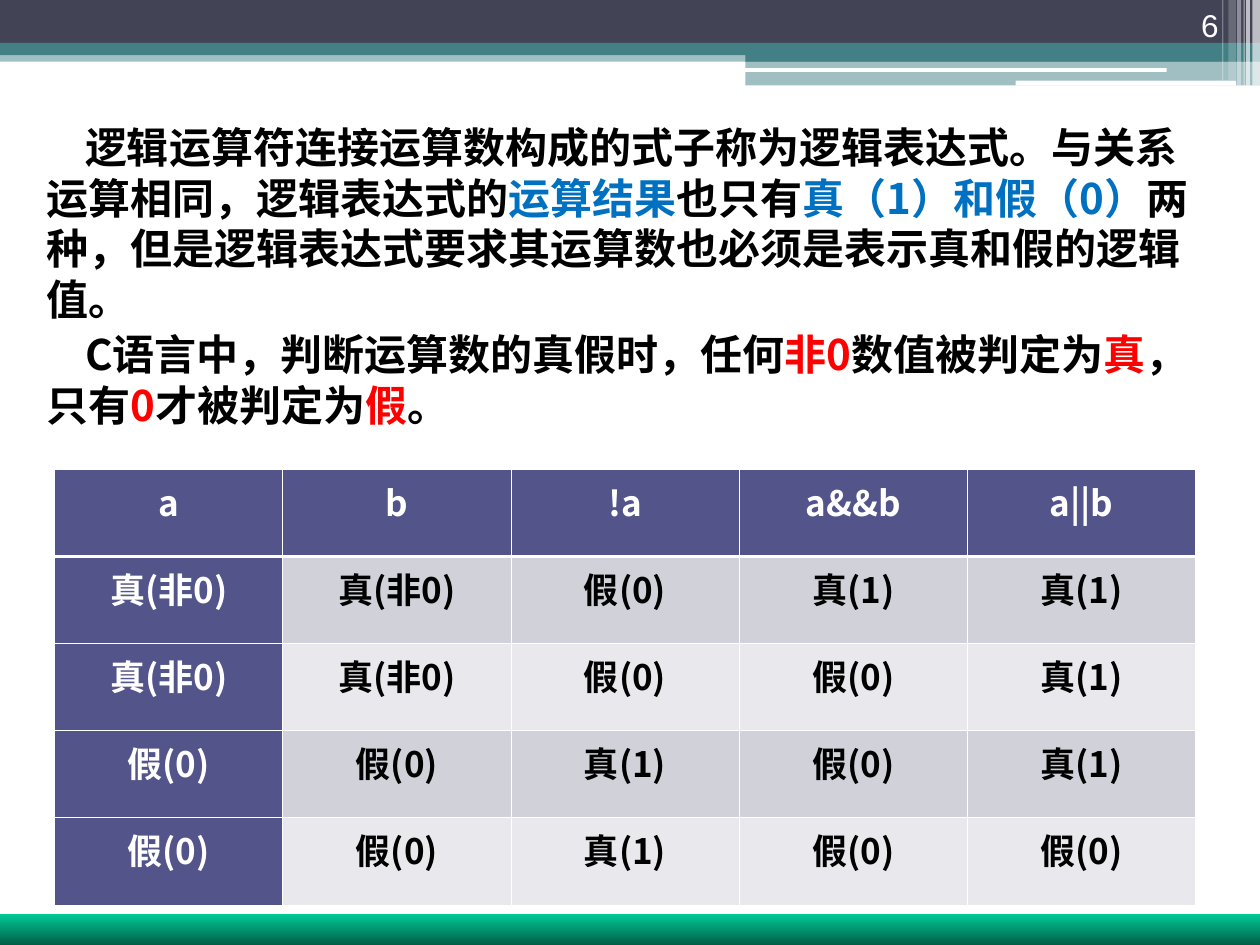
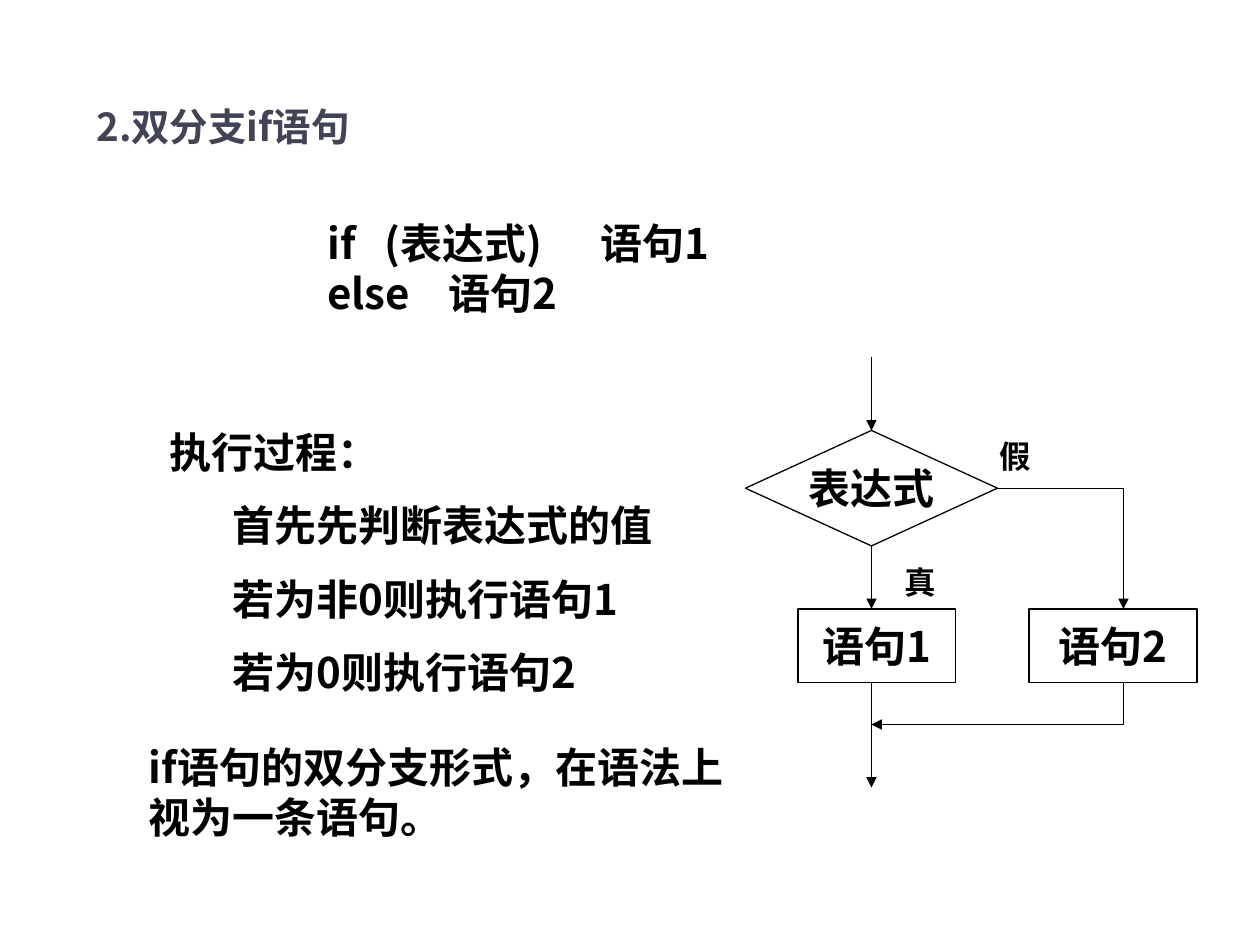
from dataclasses import dataclass

from lxml import etree
from pptx import Presentation
from pptx.dml.color import RGBColor
from pptx.enum.shapes import MSO_CONNECTOR, MSO_SHAPE
from pptx.enum.text import MSO_ANCHOR, PP_ALIGN
from pptx.oxml.ns import qn
from pptx.util import Pt

RECT, ROUNDED = MSO_SHAPE.RECTANGLE, MSO_SHAPE.ROUNDED_RECTANGLE
PROCESS, DECISION = MSO_SHAPE.FLOWCHART_PROCESS, MSO_SHAPE.FLOWCHART_DECISION
STRAIGHT = MSO_CONNECTOR.STRAIGHT
TOP, MIDDLE, BOTTOM = MSO_ANCHOR.TOP, MSO_ANCHOR.MIDDLE, MSO_ANCHOR.BOTTOM
LEFT, CENTER, RIGHT = PP_ALIGN.LEFT, PP_ALIGN.CENTER, PP_ALIGN.RIGHT


@dataclass(frozen=True)
class Theme:
    font: str = "Noto Sans CJK SC"
    number_font: str = "Arial"
    body: int = 24
    title: int = 22
    cell: int = 20
    small: int = 18
    line: float = 0.75
    black: str = "000000"
    white: str = "FFFFFF"
    navy: str = "424456"
    teal: str = "438086"
    blue: str = "0070C0"
    red: str = "FF0000"
    head: str = "53548A"
    odd_row: str = "D1D1DA"
    even_row: str = "E9E9ED"
    footer: tuple = ("00CC99", "005E47")


T = Theme()


def rgb(color):
    return RGBColor.from_string(color)


def pts(*values):
    return [Pt(v) for v in values]


def add_run(p, text, size=T.body, color=T.black, font=T.font, bold=True):
    r = p.add_run()
    r.text = text
    for name, value in {"size": Pt(size), "name": font, "bold": bold}.items():
        setattr(r.font, name, value)
    r.font.color.rgb = rgb(color)
    etree.SubElement(r.font._element, qn("a:ea"), typeface=font)


def add_tabs(p, stops):
    tabs = etree.SubElement(p._p.get_or_add_pPr(), qn("a:tabLst"))
    for stop in stops:
        etree.SubElement(tabs, qn("a:tab"), pos=str(Pt(stop)), algn="l")


def indent_first_line(p, indent):
    """Indent the first line and keep punctuation inside the margin."""
    pPr = p._p.get_or_add_pPr()
    pPr.set("indent", str(Pt(indent)))
    pPr.set("hangingPunct", "0")


def add_text(slide, box, paragraphs, anchor=TOP, align=LEFT, indent=0,
             space=0, tabs=(), **style):
    """Each paragraph is a string or a list of (text, colour) pairs."""
    tf = slide.shapes.add_textbox(*pts(*box)).text_frame
    tf.word_wrap = True
    tf.vertical_anchor = anchor
    for i, content in enumerate(paragraphs):
        p = tf.paragraphs[0] if i == 0 else tf.add_paragraph()
        p.alignment = align
        if i and space:
            p.space_before = Pt(space)
        if indent:
            indent_first_line(p, indent)
        if tabs:
            add_tabs(p, tabs[i])
        if isinstance(content, str):
            add_run(p, content, **style)
        else:
            for text, color in content:
                add_run(p, text, color=color, **style)


def add_bar(slide, box, color, opacity=100, kind=RECT):
    sp = slide.shapes.add_shape(kind, *pts(*box))
    sp.shadow.inherit = False
    sp.line.fill.background()
    sp.fill.solid()
    sp.fill.fore_color.rgb = rgb(color)
    if opacity < 100:
        clr = sp.element.spPr.find(".//" + qn("a:srgbClr"))
        etree.SubElement(clr, qn("a:alpha"), val=str(opacity * 1000))
    return sp


def add_header(slide):
    add_bar(slide, (0, 28.8, 720, 6.5), T.teal, 50)
    add_bar(slide, (0, 0, 720, 24.5), T.navy)
    add_bar(slide, (0, 24.5, 720, 7), T.teal)
    add_bar(slide, (426, 28, 294, 7.2), T.teal)
    add_bar(slide, (426, 34.6, 294, 14.2), T.teal, 50)
    add_bar(slide, (425.5, 38.9, 241.2, 2.2), T.white, kind=ROUNDED)
    add_bar(slide, (580.3, 46.1, 126, 2.9), T.white, kind=ROUNDED)
    stripes = [(715.7, 4.3, 49, 65), (712.1, 2.2, 49, 65),
               (710.6, 0.72, 49, 60), (707, 2.2, 49, 40),
               (702, 4.3, 46, 20), (698.4, 0.72, 46, 30)]
    for left, width, height, opacity in stripes:
        add_bar(slide, (left, 0, width, height), T.white, opacity)


def add_footer(slide):
    fill = add_bar(slide, (0, 522, 720, 18), T.footer[0]).fill
    fill.gradient()
    fill.gradient_angle = 270
    for i, stop in enumerate(fill.gradient_stops):
        stop.position = i
        stop.color.rgb = rgb(T.footer[i])


def add_borders(cell, widths):
    """Widths are for left, right, top and bottom."""
    tcPr = cell._tc.get_or_add_tcPr()
    for i, (side, width) in enumerate(zip("LRTB", widths)):
        ln = etree.Element(qn("a:ln" + side), w=str(Pt(width)))
        fill = etree.SubElement(ln, qn("a:solidFill"))
        etree.SubElement(fill, qn("a:srgbClr"), val=T.white)
        tcPr.insert(i, ln)


def add_truth_table(slide, box, rows):
    count, columns = len(rows), len(rows[0])
    table = slide.shapes.add_table(count, columns, *pts(*box)).table
    for row in table.rows:
        row.height = Pt(box[3] / count)
    thin, thick = 0.45, 1.47
    margins = {"margin_left": 5.2, "margin_right": 5.2,
               "margin_top": 3.6, "margin_bottom": 3.6}
    for i, row in enumerate(rows):
        for j, text in enumerate(row):
            cell = table.cell(i, j)
            is_head = i == 0 or j == 0
            band = T.odd_row if i % 2 else T.even_row
            cell.fill.solid()
            cell.fill.fore_color.rgb = rgb(T.head if is_head else band)
            for name, value in margins.items():
                setattr(cell, name, Pt(value))
            add_borders(cell, (thin, thin, thick if i == 1 else thin,
                               thick if i == 0 else thin))
            p = cell.text_frame.paragraphs[0]
            p.alignment = CENTER
            add_run(p, text, T.cell, T.white if is_head else T.black)


def add_node(slide, kind, box, text):
    sp = slide.shapes.add_shape(kind, *pts(*box))
    sp.shadow.inherit = False
    sp.fill.background()
    sp.line.color.rgb = rgb(T.black)
    sp.line.width = Pt(T.line)
    tf = sp.text_frame
    tf.word_wrap = False
    tf.vertical_anchor = MIDDLE
    tf.paragraphs[0].alignment = CENTER
    add_run(tf.paragraphs[0], text)
    return sp


def style_arrow(sp):
    sp.line.color.rgb = rgb(T.black)
    sp.line.width = Pt(T.line)
    etree.SubElement(sp.line._get_or_add_ln(), qn("a:tailEnd"), type="triangle")


def add_arrow(slide, x, top, bottom):
    c = slide.shapes.add_connector(STRAIGHT, *pts(x, top, x, bottom))
    style_arrow(c)
    etree.SubElement(c._element.spPr, qn("a:effectLst"))
    return c


def add_bent_arrow(slide, start, *points):
    builder = slide.shapes.build_freeform(*pts(*start))
    builder.add_line_segments([pts(*pt) for pt in points], close=False)
    sp = builder.convert_to_shape()
    sp.shadow.inherit = False
    sp.fill.background()
    style_arrow(sp)


def build_logic_slide(slide):
    add_header(slide)
    add_footer(slide)
    add_text(slide, (19.5, 66.2, 680.4, 187.2), [
        [("逻辑运算符连接运算数构成的式子称为逻辑表达式。与关系运算相同，逻辑表达式的", T.black),
         ("运算结果", T.blue), ("也只有", T.black), ("真（1）和假（0）", T.blue),
         ("两种，但是逻辑表达式要求其运算数也必须是表示真和假的逻辑值。", T.black)],
        [("C语言中，判断运算数的真假时，任何", T.black), ("非0", T.red),
         ("数值被判定为", T.black), ("真", T.red), ("，只有", T.black),
         ("0", T.red), ("才被判定为", T.black), ("假", T.red), ("。", T.black)],
    ], indent=22, space=3)
    add_text(slide, (643.7, 0, 59.8, 28.8), ["6"], anchor=BOTTOM, align=RIGHT,
             size=T.small, color=T.white, font=T.number_font, bold=False)
    true, false, nonzero = "真(1)", "假(0)", "真(非0)"
    add_truth_table(slide, (31.2, 268.2, 652, 249), [
        ("a", "b", "!a", "a&&b", "a||b"),
        (nonzero, nonzero, false, true, true),
        (nonzero, nonzero, false, false, true),
        (false, false, true, false, true),
        (false, false, true, false, false),
    ])


def build_flowchart(slide):
    axis, branch = 498, 642
    test_top, test_mid, test_bottom = 246, 279, 312
    node_top, node_height = 348, 42
    node_bottom = node_top + node_height
    merge = 414
    add_node(slide, PROCESS, (456, node_top, 90, node_height), "语句1")
    add_node(slide, PROCESS, (588, node_top, 96, node_height), "语句2")
    test = add_node(slide, DECISION,
                    (axis - 72, test_top, 144, test_bottom - test_top), "表达式")
    add_arrow(slide, axis, 204, test_top).end_connect(test, 0)
    add_arrow(slide, axis, test_bottom, node_top).begin_connect(test, 2)
    add_arrow(slide, axis, node_bottom, 450)
    add_bent_arrow(slide, (axis + 72, test_mid), (branch, test_mid),
                   (branch, node_top))
    add_bent_arrow(slide, (branch, node_bottom), (branch, merge), (axis, merge))
    add_text(slide, (510, 318, 60, 29), ["真"], size=T.small)
    add_text(slide, (564, 246, 54, 29), ["假"], size=T.small)


def build_if_slide(slide):
    add_text(slide, (48, 54, 438, 36), ["2.双分支if语句"], anchor=MIDDLE,
             size=T.title, color=T.navy)
    add_text(slide, (180, 108, 424, 90), ["if\t(表达式)\t语句1", "else\t语句2"],
             anchor=MIDDLE, tabs=[(32.5, 156), (69.5,)])
    add_text(slide, (90, 240, 150, 36), ["执行过程："])
    steps = ["首先先判断表达式的值", "若为非0则执行语句1", "若为0则执行语句2"]
    for i, step in enumerate(steps):
        add_text(slide, (126, 282 + 42 * i, 276, 36), [step])
    build_flowchart(slide)
    add_text(slide, (78, 420, 366, 65), ["if语句的双分支形式，在语法上视为一条语句。"])


def main():
    prs = Presentation()
    prs.slide_width, prs.slide_height = pts(720, 540)
    for build in (build_logic_slide, build_if_slide):
        build(prs.slides.add_slide(prs.slide_layouts[6]))
    prs.save("out.pptx")


if __name__ == "__main__":
    main()
